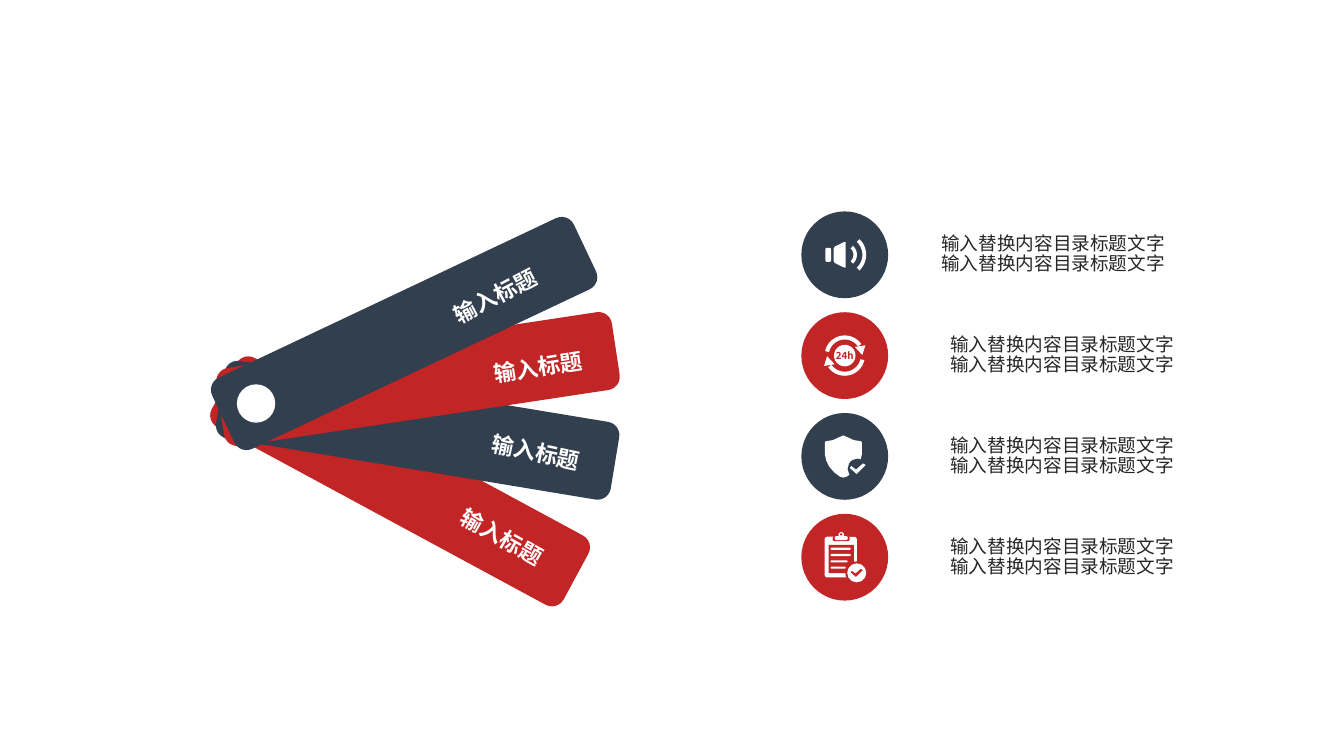
from math import cos, radians, sin

from lxml import etree
from pptx import Presentation
from pptx.dml.color import RGBColor
from pptx.enum.shapes import MSO_SHAPE
from pptx.enum.text import MSO_ANCHOR, PP_ALIGN
from pptx.oxml.ns import qn
from pptx.util import Pt

OVAL = MSO_SHAPE.OVAL
RECTANGLE = MSO_SHAPE.RECTANGLE
ROUNDED = MSO_SHAPE.ROUNDED_RECTANGLE
MIDDLE = MSO_ANCHOR.MIDDLE
LEFT, CENTER, RIGHT = PP_ALIGN.LEFT, PP_ALIGN.CENTER, PP_ALIGN.RIGHT

FONT = "Noto Sans CJK SC"
NAVY, RED, WHITE, INK = "323F4F", "C12525", "FFFFFF", "262626"
BLADES = [(28.4, RED), (9.4, NAVY), (-8.6, RED), (-25.3, NAVY)]
LABELS = [(161.3, -72, -27.7), (190.8, -24.5, -9.1), (189.4, 32.4, 12), (166.3, 90, 29.4)]
TITLE = "输入标题"
DESCRIPTION = "输入替换内容目录标题文字" * 2
DISC = 62
HORN = [(0.7, -9.2), (-0.7, -9), (-7.2, -5.8), (-7.9, -4.3)]
ARROWHEAD = [(7.2, -6.2), (12.6, -0.4), (14.8, -7.4)]
SHIELD = [(0, -15), (3.6, -13.4), (7.5, -11.6), (12.6, -10.8), (13.2, -10), (13.2, -1.4),
          (12.2, 3.2), (9.8, 7.7), (6.4, 11.5), (2.6, 14.4), (0, 15.2)]
CHECK = [(-0.8, 3.8), (-5.7, -0.5), (-4.6, -1.9), (-1.2, 0.7), (3.8, -3.8), (5.7, -2.6)]


def paint(shape, color):
    shape.shadow.inherit = False
    shape.fill.solid()
    shape.fill.fore_color.rgb = RGBColor.from_string(color)
    shape.line.fill.background()
    return shape


def add_block(slide, kind, left, top, width, height, color, corner=None):
    shape = slide.shapes.add_shape(kind, Pt(left), Pt(top), Pt(width), Pt(height))
    if corner is not None:
        shape.adjustments[0] = corner
    return paint(shape, color)


def add_disc(slide, x, y, radius, color):
    return add_block(slide, OVAL, x - radius, y - radius, 2 * radius, 2 * radius, color)


def add_outline(slide, x, y, points, color):
    corners = [(Pt(x + dx), Pt(y + dy)) for dx, dy in points]
    builder = slide.shapes.build_freeform(*corners[0])
    builder.add_line_segments(corners[1:], close=True)
    return paint(builder.convert_to_shape(), color)


def add_text(slide, box, text, size, color, align, bold=False, insets=(7.2, 3.6, 7.2, 3.6)):
    textbox = slide.shapes.add_textbox(*map(Pt, box))
    frame = textbox.text_frame
    frame.word_wrap = True
    frame.vertical_anchor = MIDDLE
    frame.margin_left, frame.margin_top, frame.margin_right, frame.margin_bottom = map(Pt, insets)
    paragraph = frame.paragraphs[0]
    paragraph.alignment = align
    run = paragraph.add_run()
    run.text = text
    font = run.font
    font.name, font.size, font.bold = FONT, Pt(size), bold
    font.color.rgb = RGBColor.from_string(color)
    etree.SubElement(run._r.get_or_add_rPr(), qn("a:ea")).set("typeface", FONT)
    return textbox


def arc_band(outer, inner, start, end, steps=24):
    angles = [radians(start + (end - start) * step / steps) for step in range(steps + 1)]
    return ([(outer * cos(angle), outer * sin(angle)) for angle in angles]
            + [(inner * cos(angle), inner * sin(angle)) for angle in reversed(angles)])


def add_check(slide, x, y, scale, color):
    add_outline(slide, x, y, [(dx * scale, dy * scale) for dx, dy in CHECK], color)


def draw_speaker(slide, x, y, color):
    add_outline(slide, x, y, HORN + [(dx, -dy) for dx, dy in reversed(HORN)], WHITE)
    add_block(slide, ROUNDED, x - 13.8, y - 5, 4, 10, WHITE, 0.25)
    for outer, inner in [(8.7, 6.2), (15.3, 12.6)]:
        add_outline(slide, x, y, arc_band(outer, inner, -47, 47), WHITE)


def draw_round_the_clock(slide, x, y, color):
    add_disc(slide, x, y, 7.7, WHITE)
    for sign in (1, -1):
        for points in (arc_band(14.4, 11.5, 193, 325), ARROWHEAD):
            add_outline(slide, x, y, [(sign * dx, sign * dy) for dx, dy in points], WHITE)
    add_text(slide, (x - 10, y - 6, 20, 12), "24h", 7, color, CENTER, True, (0, 0, 0, 0))


def draw_shield(slide, x, y, color):
    mirrored = [(-dx, dy) for dx, dy in reversed(SHIELD[1:-1])]
    add_outline(slide, x - 1, y, SHIELD + mirrored, WHITE)
    add_disc(slide, x + 9.3, y + 8.8, 7.2, color)
    add_check(slide, x + 9.3, y + 8.8, 1, WHITE)


def draw_clipboard(slide, x, y, color):
    add_block(slide, ROUNDED, x - 14.4, y - 14.6, 23, 29, WHITE, 0.08)
    add_block(slide, RECTANGLE, x - 11.5, y - 8.8, 18, 20.3, color)
    add_block(slide, ROUNDED, x - 8.6, y - 15, 12.2, 3.6, color, 0.4)
    add_block(slide, ROUNDED, x - 7.2, y - 15.1, 9.4, 2.9, WHITE, 0.5)
    add_disc(slide, x - 2.5, y - 15.9, 2, WHITE)
    add_disc(slide, x - 2.5, y - 16.3, 0.8, color)
    for row, width in enumerate([14.4, 14.4, 12.2, 10.8]):
        add_block(slide, ROUNDED, x - 10.1, y - 6.8 + 4.5 * row, width, 1.5, WHITE, 0.5)
    add_disc(slide, x + 8.6, y + 11.2, 8.2, color)
    add_disc(slide, x + 8.6, y + 11.2, 6.8, WHITE)
    add_check(slide, x + 8.6, y + 11.2, 0.75, color)


def draw_fan(slide, pivot_x, pivot_y):
    length, thickness, reach = 285.8, 56.2, 117
    for angle, color in BLADES:
        x = pivot_x + reach * cos(radians(angle))
        y = pivot_y + reach * sin(radians(angle))
        blade = add_block(slide, ROUNDED, x - length / 2, y - thickness / 2,
                          length, thickness, color, 0.17)
        blade.rotation = angle
    add_disc(slide, pivot_x, pivot_y, 13.7, WHITE)
    width, height = 99.4, 24.5
    for dx, dy, angle in LABELS:
        box = (pivot_x + dx - width / 2, pivot_y + dy - height / 2, width, height)
        add_text(slide, box, TITLE, 15.9, WHITE, RIGHT, True).rotation = angle


def draw_legend(slide, left, top, pitch):
    rows = [(draw_speaker, NAVY, 62.6), (draw_round_the_clock, RED, 69),
            (draw_shield, NAVY, 69), (draw_clipboard, RED, 69)]
    for index, (draw_icon, color, text_offset) in enumerate(rows):
        x, y = left + DISC / 2, top + index * pitch + DISC / 2
        add_disc(slide, x, y, DISC / 2, color)
        draw_icon(slide, x, y, color)
        textbox = add_text(slide, (left + text_offset, y - 26, 211, 44 + 8), DESCRIPTION,
                           13.3, INK, LEFT, insets=(37.4, 5, 9.4, 5))
        textbox.text_frame.paragraphs[0].line_spacing = 0.9


presentation = Presentation()
presentation.slide_width, presentation.slide_height = Pt(960), Pt(540)
slide = presentation.slides.add_slide(presentation.slide_layouts[6])
draw_fan(slide, 182.9, 288.2)
draw_legend(slide, 572.4, 151, 72)
presentation.save("out.pptx")
